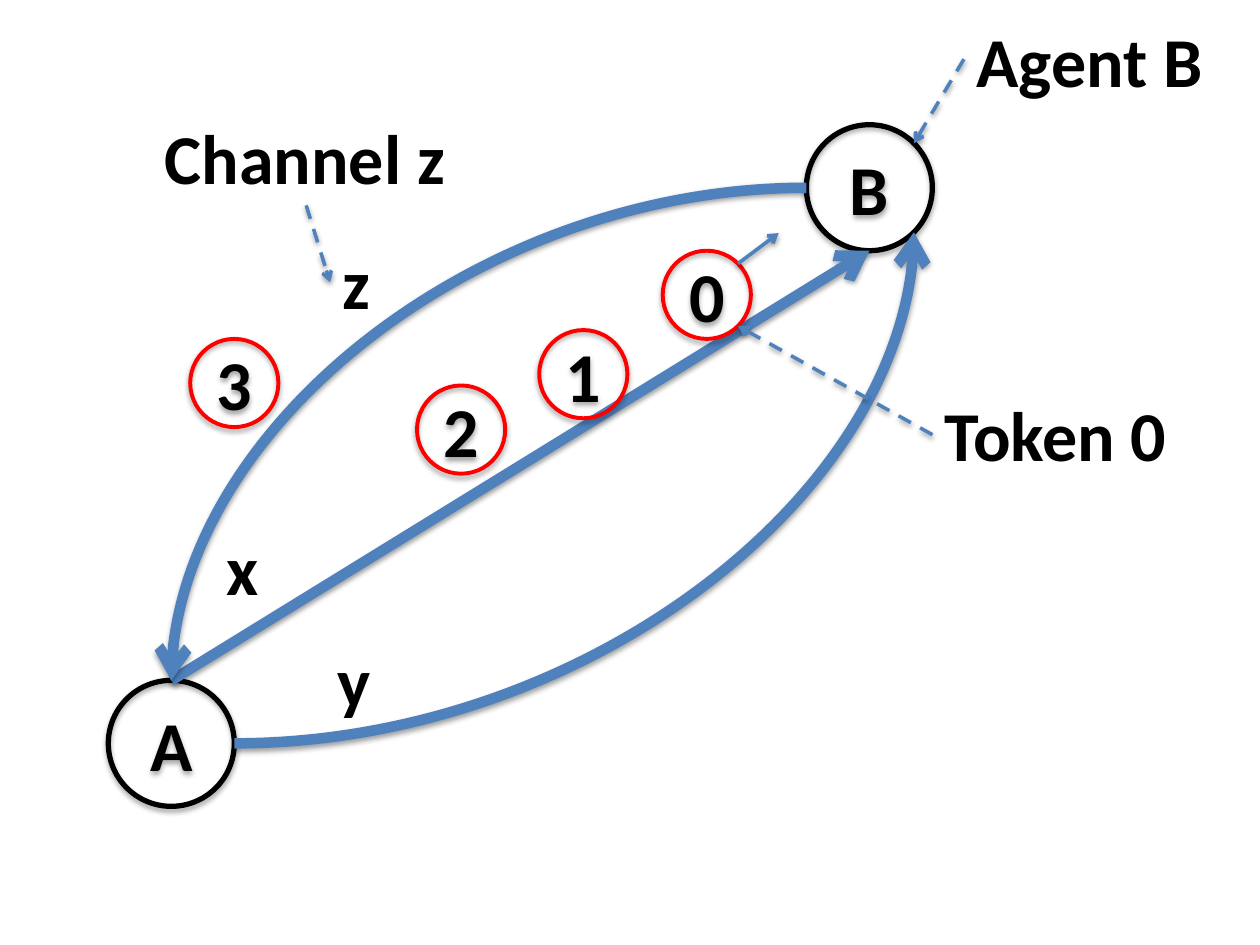
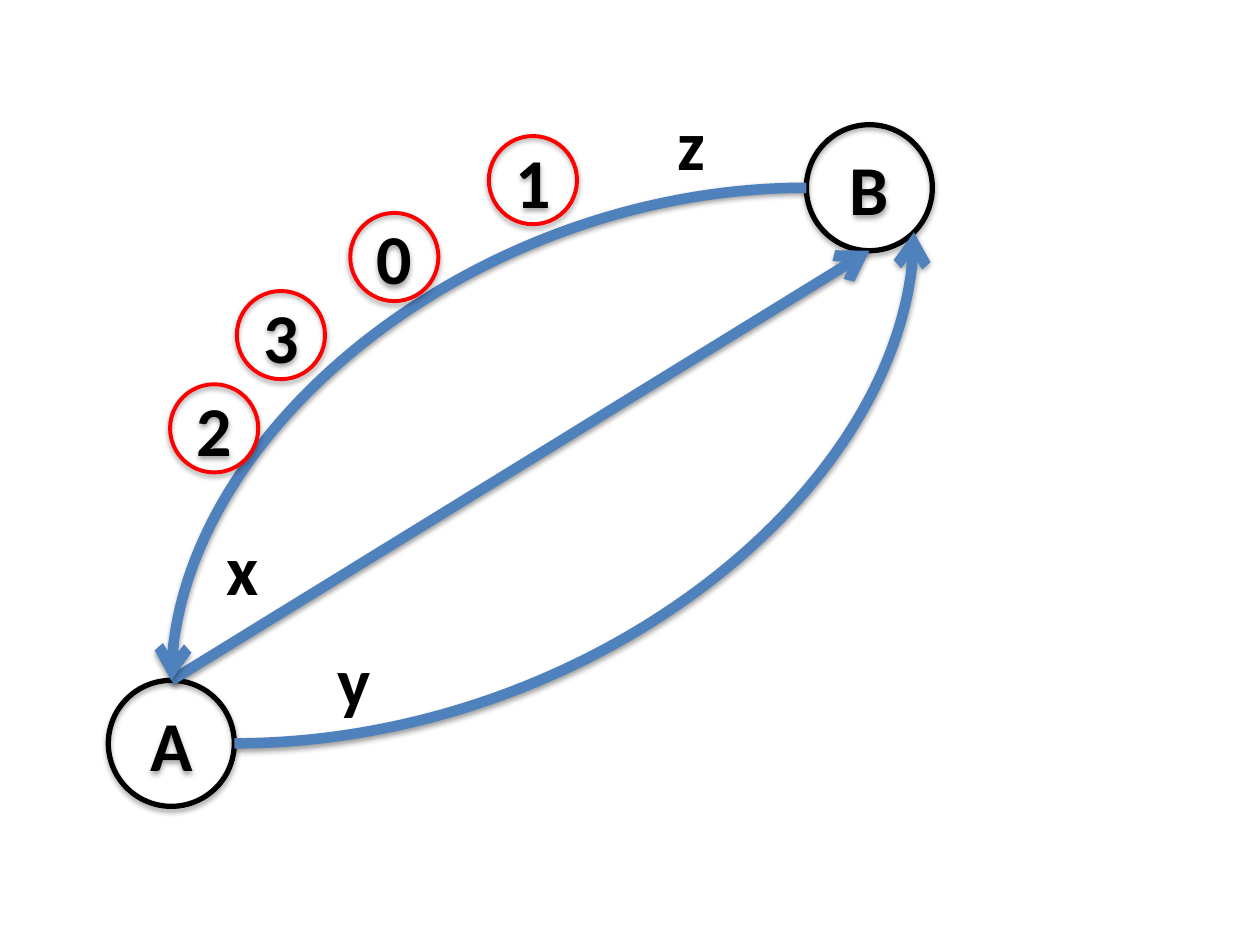
"""Builds two slides of tokens moving along the channels between agents A and B."""
from math import cos, radians, sin

from lxml import etree
from pptx import Presentation
from pptx.dml.color import RGBColor
from pptx.enum.dml import MSO_LINE
from pptx.enum.shapes import MSO_CONNECTOR, MSO_SHAPE
from pptx.enum.text import MSO_ANCHOR, MSO_AUTO_SIZE, PP_ALIGN
from pptx.oxml.ns import qn
from pptx.util import Inches, Pt

STRAIGHT, CURVE = MSO_CONNECTOR.STRAIGHT, MSO_CONNECTOR.CURVE
OVAL, DASH = MSO_SHAPE.OVAL, MSO_LINE.DASH
MIDDLE, CENTER = MSO_ANCHOR.MIDDLE, PP_ALIGN.CENTER
FIT_TEXT = MSO_AUTO_SIZE.SHAPE_TO_FIT_TEXT

COLORS = {"ink": "000000", "channel": "4F81BD", "token": "FF0000"}
FONT, FONT_SIZE = "Calibri", 40
SLIDE_WIDTH, SLIDE_HEIGHT = 10, 7.5
BLANK_LAYOUT = 6
LABEL_HEIGHT = 0.77
AGENT_SIZE, TOKEN_SIZE = 1, 0.7
AGENT_LINE, TOKEN_LINE, CHANNEL_LINE, POINTER_LINE = 3, 2.25, 6, 2
SHAPE_SHADOW = {"alpha": 35, "blur": 3.1, "distance": 1.8}
LINE_SHADOW = {"alpha": 38, "blur": 3.1, "distance": 1.6}

TOP, LEFT, BOTTOM, BOTTOM_RIGHT, RIGHT, TOP_RIGHT = 0, 2, 4, 5, 6, 7

AGENTS = {"B": (6.9, 1.49), "A": (1.36, 5.9)}
CHANNELS = [
    (STRAIGHT, ("A", TOP), ("B", BOTTOM)),
    (CURVE, ("B", LEFT), ("A", TOP)),
    (CURVE, ("A", RIGHT), ("B", BOTTOM_RIGHT)),
]
CHANNEL_LABELS = [("x", 1.7, 4.12, 0.46), ("y", 2.58, 5.01, 0.47)]

SLIDES = [
    {
        "labels": [
            ("z", 2.62, 1.85, 0.42),
            ("Channel z", 1.21, 0.86, 2.45),
            ("Agent B", 7.65, 0.09, 2.03),
            ("Token 0", 7.4, 3.06, 2.05),
        ],
        "tokens": {"0": (5.61, 2.34), "1": (4.63, 2.97), "2": (3.66, 3.41), "3": (1.86, 3.04)},
        "pointers": [
            ((2.43, 1.63), (2.62, 2.24), DASH),
            ((7.65, 0.47), ("B", TOP_RIGHT), DASH),
            ((7.4, 3.45), ("0", BOTTOM_RIGHT), DASH),
            (("0", TOP_RIGHT), (6.18, 1.85), None),
        ],
    },
    {
        "labels": [("z", 5.28, 0.75, 0.42)],
        "tokens": {"0": (3.13, 2.04), "3": (2.23, 2.66), "2": (1.7, 3.4), "1": (4.23, 1.43)},
        "pointers": [],
    },
]


def color(name):
    return RGBColor.from_string(COLORS[name])


def add_shadow(shape, alpha, blur, distance):
    effects = etree.SubElement(shape._element.spPr, qn("a:effectLst"))
    shadow = etree.SubElement(
        effects, qn("a:outerShdw"), blurRad=str(Pt(blur)), dist=str(Pt(distance)),
        dir=str(90 * 60000), rotWithShape="0")
    black = etree.SubElement(shadow, qn("a:srgbClr"), val=COLORS["ink"])
    etree.SubElement(black, qn("a:alpha"), val=str(alpha * 1000))


def write(shape, text, alignment=None):
    paragraph = shape.text_frame.paragraphs[0]
    paragraph.text = text
    paragraph.alignment = alignment
    font = paragraph.font
    font.name, font.size, font.bold = FONT, Pt(FONT_SIZE), True
    font.color.rgb = color("ink")


def add_circle(slide, text, center, size, line_color, line_width):
    left, top = (Inches(middle - size / 2) for middle in center)
    circle = slide.shapes.add_shape(OVAL, left, top, Inches(size), Inches(size))
    circle.fill.background()
    circle.line.color.rgb = color(line_color)
    circle.line.width = Pt(line_width)
    add_shadow(circle, **SHAPE_SHADOW)
    circle.text_frame.vertical_anchor = MIDDLE
    write(circle, text, CENTER)
    return circle


def add_label(slide, text, left, top, width):
    label = slide.shapes.add_textbox(*map(Inches, (left, top, width, LABEL_HEIGHT)))
    label.text_frame.word_wrap = False
    label.text_frame.auto_size = FIT_TEXT
    write(label, text)


def locate(end, circles):
    """Returns a point, reading sites counter-clockwise from the top of a circle."""
    if end[0] not in circles:
        return [Inches(length) for length in end]
    circle, angle = circles[end[0]], radians(45 * end[1])
    radius = circle.width / 2
    return [round(circle.left + radius * (1 - sin(angle))),
            round(circle.top + radius * (1 - cos(angle)))]


def add_arrow(slide, kind, ends, circles, width, dash=None):
    start, finish = (locate(end, circles) for end in ends)
    arrow = slide.shapes.add_connector(kind, *start, *finish)
    arrow.line.color.rgb = color("channel")
    arrow.line.width = Pt(width)
    if dash:
        arrow.line.dash_style = dash
    etree.SubElement(arrow.line._get_or_add_ln(), qn("a:tailEnd"), type="arrow")
    if kind == CURVE:
        arrow._element.spPr.find(qn("a:prstGeom")).set("prst", "curvedConnector2")
    add_shadow(arrow, **LINE_SHADOW)
    links = arrow._element.find(".//" + qn("p:cNvCxnSpPr"))
    for tag, (name, site) in zip(("a:stCxn", "a:endCxn"), ends):
        if name in circles:
            etree.SubElement(links, qn(tag), id=str(circles[name].shape_id), idx=str(site))


def build_slide(presentation, content):
    slide = presentation.slides.add_slide(presentation.slide_layouts[BLANK_LAYOUT])
    circles = {name: add_circle(slide, name, center, AGENT_SIZE, "ink", AGENT_LINE)
               for name, center in AGENTS.items()}
    for kind, *ends in CHANNELS:
        add_arrow(slide, kind, ends, circles, CHANNEL_LINE)
    for label in CHANNEL_LABELS + content["labels"]:
        add_label(slide, *label)
    for name, center in content["tokens"].items():
        circles[name] = add_circle(slide, name, center, TOKEN_SIZE, "token", TOKEN_LINE)
    for *ends, dash in content["pointers"]:
        add_arrow(slide, STRAIGHT, ends, circles, POINTER_LINE, dash)


def main():
    presentation = Presentation()
    presentation.slide_width = Inches(SLIDE_WIDTH)
    presentation.slide_height = Inches(SLIDE_HEIGHT)
    for content in SLIDES:
        build_slide(presentation, content)
    presentation.save("out.pptx")


if __name__ == "__main__":
    main()
